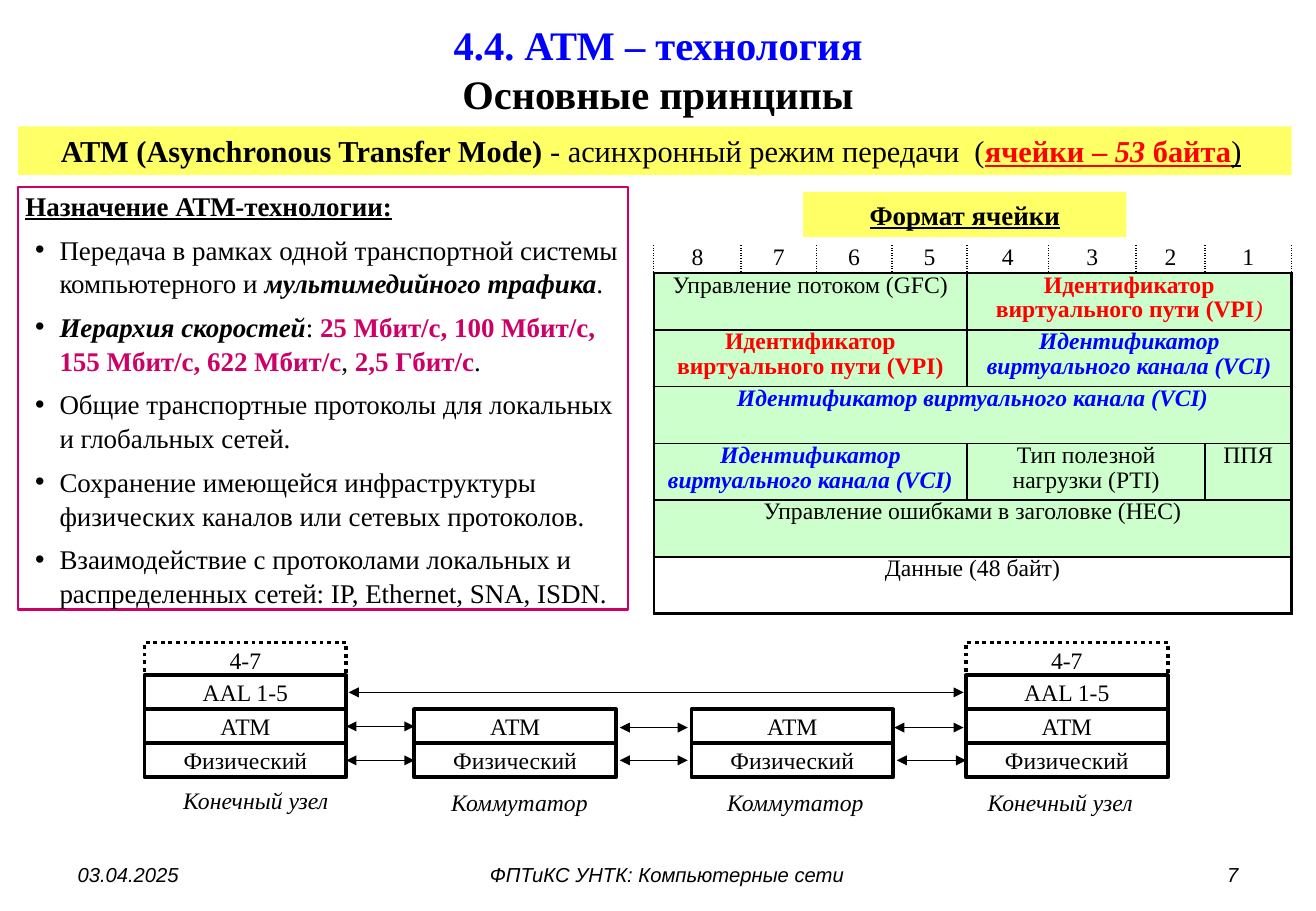
from lxml import etree
from pptx import Presentation
from pptx.dml.color import RGBColor
from pptx.enum.dml import MSO_LINE
from pptx.enum.shapes import MSO_CONNECTOR, MSO_SHAPE
from pptx.enum.text import MSO_ANCHOR, MSO_AUTO_SIZE, PP_ALIGN
from pptx.oxml.ns import qn
from pptx.util import Inches, Pt

LEFT, CENTER, RIGHT = PP_ALIGN.LEFT, PP_ALIGN.CENTER, PP_ALIGN.RIGHT
MIDDLE, NO_AUTO_SIZE = MSO_ANCHOR.MIDDLE, MSO_AUTO_SIZE.NONE
RECTANGLE, STRAIGHT = MSO_SHAPE.RECTANGLE, MSO_CONNECTOR.STRAIGHT
DOTTED = MSO_LINE.ROUND_DOT

BLACK, WHITE, YELLOW, GREEN = "000000", "FFFFFF", "FFFF66", "CCFFCC"
RED, BLUE, CRIMSON = "FF0000", "0000FF", "CC0066"
SERIF, SANS = "Times New Roman", "Arial"
MARGINS = (0.1, 0.05, 0.1, 0.05)

BOLD = {"bold": True}
ITALIC = {"italic": True}
BOLD_ITALIC = {"bold": True, "italic": True}
HEADING = {"bold": True, "underline": True}
RED_BOLD = {"bold": True, "color": RED}
RED_LINK = {**HEADING, "color": RED}
BLUE_ITALIC = {**BOLD_ITALIC, "color": BLUE}
RATE = {"bold": True, "color": CRIMSON}

# Each paragraph is a list of (text, format) runs
PURPOSES = [
    [("Передача в рамках одной транспортной системы компьютерного и ", {}),
     ("мультимедийного трафика", BOLD_ITALIC), (".", {})],
    [("Иерархия скоростей", BOLD_ITALIC), (": ", {}),
     ("25 Мбит/с, 100 Мбит/с, 155 Мбит/с, 622 Мбит/с", RATE), (", ", {}),
     ("2,5 Гбит/с", RATE), (".", {})],
    [("Общие транспортные протоколы для локальных и глобальных сетей.", {})],
    [("Сохранение имеющейся инфраструктуры физических каналов или сетевых протоколов.", {})],
    [("Взаимодействие с протоколами локальных и распределенных сетей: "
      "IP, Ethernet, SNA, ISDN.", {})],
]

# Cell format: rows of (column span, paragraphs)
VPI = "Идентификатор виртуального пути (VPI"
VCI = [[("Идентификатор виртуального канала (VCI)", BLUE_ITALIC)]]
BIT_WIDTHS = [0.72, 0.62, 0.62, 0.62, 0.67, 0.72, 0.57, 0.71]
FIELDS = [
    [(4, [[("Управление потоком (GFC)", {})]]),
     (4, [[(VPI, RED_BOLD), (")", {"italic": True, "color": RED})]])],
    [(4, [[(VPI + ")", RED_BOLD)]]), (4, VCI)],
    [(8, VCI)],
    [(4, VCI), (3, [[("Тип полезной", {})], [("нагрузки (PTI)", {})]]),
     (1, [[("ППЯ", {})]])],
    [(8, [[("Управление ошибками в заголовке (HEC)", {})]])],
    [(8, [[("Данные (48 байт)", {})]])],
]

# Protocol stacks: left edge, layers, caption, caption position and width
LAYER_TOPS = {"4-7": 5.29, "ААL 1-5": 5.56, "АТМ": 5.84, "Физический": 6.12}
END_LAYERS = list(LAYER_TOPS)
SWITCH_LAYERS = END_LAYERS[2:]
STACKS = [
    (1.19, END_LAYERS, "Конечный узел", 1.19, 6.47, 1.83),
    (3.41, SWITCH_LAYERS, "Коммутатор", 3.45, 6.49, 1.65),
    (5.69, SWITCH_LAYERS, "Коммутатор", 5.72, 6.49, 1.65),
    (7.95, END_LAYERS, "Конечный узел", 7.81, 6.49, 1.83),
]


def rgb(color):
    return RGBColor.from_string(color)


def add_runs(paragraph, runs, size, font_name=SERIF):
    for text, style in runs:
        run = paragraph.add_run()
        run.text = text
        values = {"name": font_name, "size": Pt(size), "bold": False,
                  "italic": False, **style}
        run.font.color.rgb = rgb(values.pop("color", BLACK))
        for attribute, value in values.items():
            setattr(run.font, attribute, value)


def write(frame, paragraphs, size, align=CENTER, font_name=SERIF, **layout):
    for index, runs in enumerate(paragraphs):
        paragraph = frame.paragraphs[0] if index == 0 else frame.add_paragraph()
        for attribute, value in {"alignment": align, **layout}.items():
            setattr(paragraph, attribute, value)
        add_runs(paragraph, runs, size, font_name)


def set_frame(frame, margins):
    frame.word_wrap = True
    sides = ("margin_left", "margin_top", "margin_right", "margin_bottom")
    for side, margin in zip(sides, margins):
        setattr(frame, side, Inches(margin))


def add_label(slide, box, text, size, align=CENTER, font_name=SERIF, margins=MARGINS):
    label = slide.shapes.add_textbox(*map(Inches, box))
    set_frame(label.text_frame, margins)
    write(label.text_frame, [[(text, ITALIC)]], size, align, font_name)


def add_box(slide, box, fill=None, line=None, width=1, margins=MARGINS):
    shape = slide.shapes.add_shape(RECTANGLE, *map(Inches, box))
    shape.shadow.inherit = False
    for part, color in ((shape.fill, fill), (shape.line.fill, line)):
        if color:
            part.solid()
            part.fore_color.rgb = rgb(color)
        else:
            part.background()
    if line:
        shape.line.width = Pt(width)
    set_frame(shape.text_frame, margins)
    shape.text_frame.vertical_anchor = MIDDLE
    return shape


def add_bullet(paragraph):
    properties = paragraph._p.get_or_add_pPr()
    properties.set("marL", str(Inches(0.28)))
    properties.set("indent", str(Inches(-0.2)))
    etree.SubElement(properties, qn("a:buFont")).set("typeface", SANS)
    etree.SubElement(properties, qn("a:buChar")).set("char", "•")


def set_borders(cell, borders):
    """Borders are (width, dash) for left, right, top, bottom; None hides a side."""
    properties = cell._tc.get_or_add_tcPr()
    for index, (side, border) in enumerate(zip("LRTB", borders)):
        line = etree.Element(qn(f"a:ln{side}"))
        properties.insert(index, line)
        if border is None:
            etree.SubElement(line, qn("a:noFill"))
            continue
        line.set("w", str(Pt(border[0])))
        fill = etree.SubElement(line, qn("a:solidFill"))
        etree.SubElement(fill, qn("a:srgbClr")).set("val", BLACK)
        etree.SubElement(line, qn("a:prstDash")).set("val", border[1])


def fill_cell(table, row, column, span, paragraphs, borders, fill=None):
    for position in range(column, column + span):
        cell = table.cell(row, position)
        if fill:
            cell.fill.solid()
            cell.fill.fore_color.rgb = rgb(fill)
        else:
            cell.fill.background()
        set_borders(cell, borders)
    cell = table.cell(row, column)
    if span > 1:
        cell.merge(table.cell(row, column + span - 1))
    cell.margin_left = cell.margin_right = Inches(0.07)
    cell.margin_top = cell.margin_bottom = 0
    write(cell.text_frame, paragraphs, 14, line_spacing=0.95)


def add_cell_format(slide):
    heights = [0.26, 0.23] + [0.467] * len(FIELDS)
    frame = slide.shapes.add_table(len(heights), len(BIT_WIDTHS), Inches(5.38),
                                   Inches(1.76), Inches(5.25), Inches(sum(heights)))
    table = frame.table
    table.first_row = table.horz_banding = False
    for column, width in zip(table.columns, BIT_WIDTHS):
        column.width = Inches(width)
    for row, height in zip(table.rows, heights):
        row.height = Inches(height)

    # Top band and bit numbers
    thick, thin, dotted = (1.5, "solid"), (1, "solid"), (1, "sysDot")
    fill_cell(table, 0, 0, 8, [[(" ", {})]], [None] * 4)
    for column in range(8):
        fill_cell(table, 1, column, 1, [[(str(8 - column), {})]],
                  (dotted, dotted, None, thick))

    # Header fields and data
    data_row = len(heights) - 1
    for row, fields in enumerate(FIELDS, start=2):
        column = 0
        for span, paragraphs in fields:
            borders = (thick if column == 0 else thin,
                       thick if column + span == 8 else thin,
                       thick if row in (2, data_row) else thin,
                       thick if row >= data_row - 1 else thin)
            fill_cell(table, row, column, span, paragraphs, borders,
                      GREEN if row < data_row else None)
            column += span


def add_stack(slide, left, layers, caption, caption_left, caption_top, caption_width):
    boxes = {}
    for layer in layers:
        box = add_box(slide, (left, LAYER_TOPS[layer], 1.66, 0.28), WHITE, BLACK, 2.25,
                      (0.02, 0.01, 0.02, 0.01))
        if layer == "4-7":
            box.line.dash_style = DOTTED
        write(box.text_frame, [[(layer, {})]], 14)
        boxes[layer] = box
    add_label(slide, (caption_left, caption_top, caption_width, 0.22), caption, 14,
              margins=(0, 0, 0, 0))
    return boxes


def add_arrow(slide, left, right, y, begin=None, end=None):
    arrow = slide.shapes.add_connector(STRAIGHT, *map(Inches, (left, y, right, y)))
    arrow.line.color.rgb = rgb(BLACK)
    arrow.line.width = Pt(1)
    line = arrow.line._get_or_add_ln()
    for tip in ("a:headEnd", "a:tailEnd"):
        etree.SubElement(line, qn(tip)).set("type", "triangle")
    etree.SubElement(arrow._element.spPr, qn("a:effectLst"))
    if begin:
        arrow.begin_connect(begin, 3)
    if end:
        arrow.end_connect(end, 1)


def main():
    presentation = Presentation()
    presentation.slide_width, presentation.slide_height = Inches(10.83), Inches(7.5)
    slide = presentation.slides.add_slide(presentation.slide_layouts[5])

    # Title
    title = slide.shapes.title
    title.left, title.top, title.width, title.height = map(Inches, (0.54, 0, 9.75, 1.13))
    title.text_frame.auto_size = NO_AUTO_SIZE
    title.text_frame.vertical_anchor = MIDDLE
    paragraph = title.text_frame.paragraphs[0]
    paragraph.alignment = CENTER
    add_runs(paragraph, [("4.4. АТМ – технология", {**BOLD, "color": BLUE})], 24)
    paragraph.add_line_break()
    add_runs(paragraph, [("Основные принципы", BOLD)], 24)

    # Definition and purposes
    definition = add_box(slide, (0.15, 1.04, 10.48, 0.4), YELLOW)
    write(definition.text_frame, [[
        ("АТМ (Asynchronous Transfer Mode)", BOLD),
        (" - асинхронный режим передачи  (", {}), ("ячейки – ", RED_LINK),
        ("53", {**RED_LINK, "italic": True}), (" байта", RED_LINK),
        (")", {"underline": True}), (" ", {})]], 18)
    purposes = add_box(slide, (0.15, 1.54, 5.02, 3.48), None, CRIMSON, 1.5,
                       (0.06, 0.05, 0.02, 0.05))
    write(purposes.text_frame, [[("Назначение АТМ-технологии:", HEADING)]] + PURPOSES,
          16, LEFT, space_before=Pt(6), line_spacing=1.04)
    for paragraph in purposes.text_frame.paragraphs[1:]:
        add_bullet(paragraph)

    # Cell format
    heading = add_box(slide, (6.61, 1.58, 2.66, 0.37), YELLOW)
    write(heading.text_frame, [[("Формат ячейки", HEADING)]], 16)
    add_cell_format(slide)

    # Protocol stacks and their links
    source, first, second, target = [add_stack(slide, *stack) for stack in STACKS]
    for layer, y in (("АТМ", 5.99), ("Физический", 6.26)):
        add_arrow(slide, 2.85, 3.41, y, source[layer], first[layer])
        add_arrow(slide, 5.1, 5.66, y)
    add_arrow(slide, 7.36, 7.93, 5.99)
    add_arrow(slide, 7.38, 7.95, 6.26, end=target["Физический"])
    add_arrow(slide, 2.87, 7.93, 5.7)

    # Footer
    for left, width, text, align in ((0.54, 2.53, "03.04.2025", LEFT),
                                     (3.35, 4.28, "ФПТиКС УНТК: Компьютерные сети", CENTER),
                                     (7.76, 2.53, "7", RIGHT)):
        add_label(slide, (left, 7.05, width, 0.3), text, 12, align, SANS)

    presentation.save("out.pptx")


if __name__ == "__main__":
    main()
